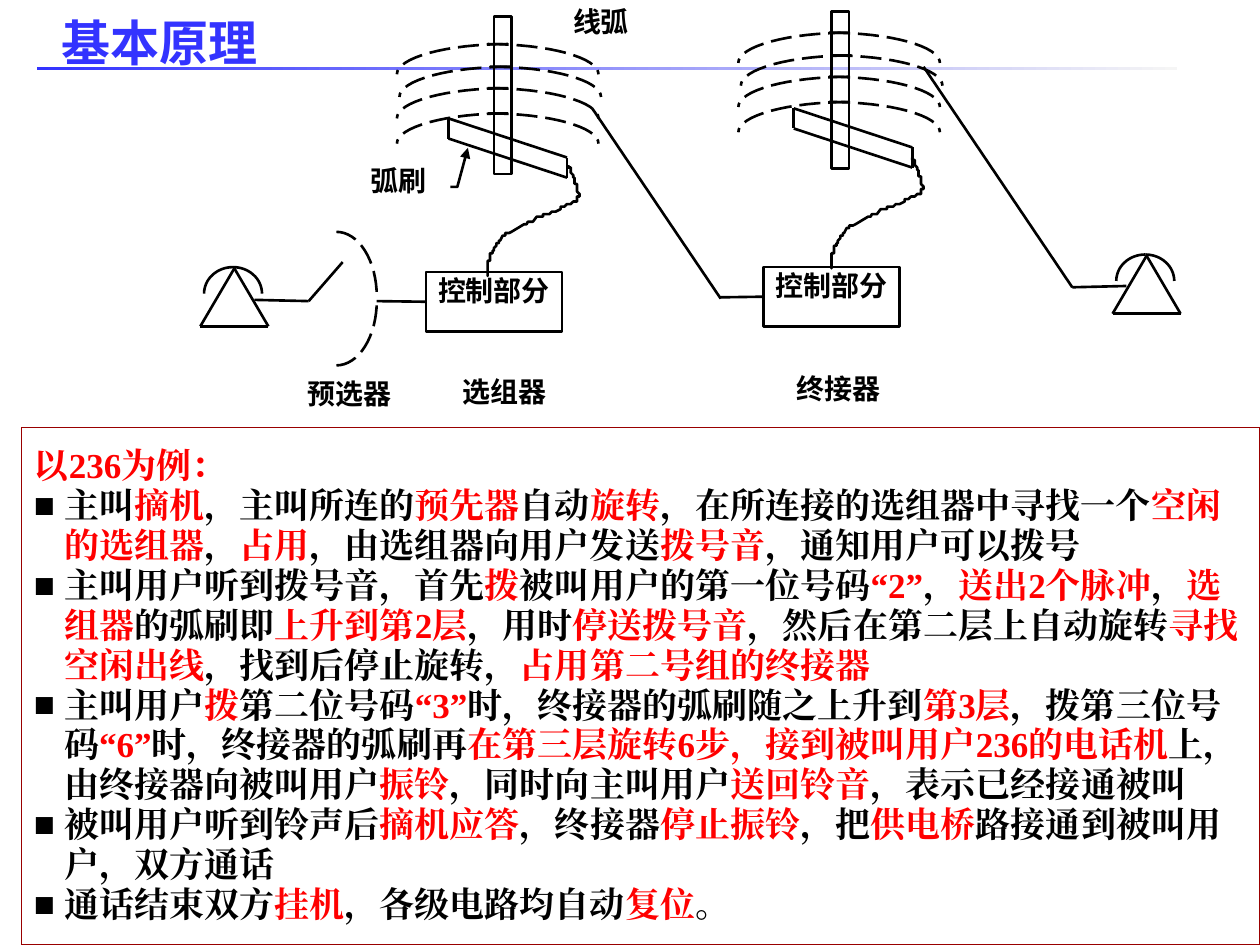
from math import cos, pi, sin
from pptx import Presentation
from pptx import util as u
from pptx.dml import color
from pptx.enum import dml, shapes, text
from pptx.oxml import ns, xmlchemy

INK, RED, BLUE = "000000", "FF0000", "3333FF"
SANS, SERIF = "Noto Sans CJK SC", "Times New Roman"
STEPS = [
    "主叫|摘机|，主叫所连的|预先器|自动|旋转|，在所连接的选组器中寻找一个|空闲的选组器|，|占用|"
    "，由选组器向用户发送|拨号音|，通知用户可以拨号",
    "主叫用户听到拨号音，首先|拨|被叫用户的第一位号码|“2”|，|送出2个脉冲|，|选组器|的弧刷即|"
    "上升到第2层|，用时|停送拨号音|，然后在第二层上自动旋转|寻找空闲出线|，找到后停止旋转，|"
    "占用第二号组的终接器",
    "主叫用户|拨|第二位号码|“3”|时，终接器的弧刷随之上升到|第3层|，拨第三位号码|“6”|"
    "时，终接器的弧刷再|在第三层旋转6步，接到被叫用户236的电话机|上，由终接器向被叫用户|振铃|"
    "，同时向主叫用户|送回铃音|，表示已经接通被叫",
    "被叫用户听到铃声后|摘机应答|，终接器|停止振铃|，把|供电桥|路接通到被叫用户，双方通话",
    "通话结束双方|挂机|，各级电路均自动|复位|。",
]
CORD = [
    (64, 0), (64, 2), (66, 2), (66, 6), (68, 8), (68, 10), (69, 10), (69, 15), (71, 15),
    (71, 21), (73, 23), (73, 25), (71, 25), (71, 29), (68, 29), (66, 31), (63, 31), (61, 33),
    (58, 33), (58, 35), (54, 37), (51, 37), (49, 39), (44, 39), (44, 41), (39, 41), (36, 45),
    (32, 45), (31, 47), (29, 47), (19, 53), (17, 54), (14, 54), (14, 56), (12, 56), (10, 60),
    (9, 60), (9, 62), (7, 62), (7, 64), (5, 66), (5, 68), (4, 68), (4, 70), (2, 70), (2, 76),
    (0, 76), (0, 88), (0, 84),
]


def rgb(code):
    """Turn a hex string into a colour."""
    return color.RGBColor.from_string(code)


def apply(item, **vals):
    """Set each named value on an item."""
    for key, val in vals.items():
        setattr(item, key, val)


def add(node, tag, **vals):
    """Append a drawing element to an XML node."""
    kid = xmlchemy.OxmlElement(tag)
    for key, val in vals.items():
        kid.set(key, val)
    node.append(kid)
    return kid


def style(run, size, face, tint, east=SANS):
    """Format a run of bold text."""
    apply(run.font, size=u.Pt(size), name=face, bold=True)
    run.font.color.rgb = rgb(tint)
    props = run._r.get_or_add_rPr()
    props.set("lang", "zh-CN")
    add(props, "a:ea", typeface=east)


def outline(shape, tint=INK, width=1.5):
    """Give a shape a plain outline and no fill."""
    shape.shadow.inherit = False
    shape.fill.background()
    shape.line.color.rgb = rgb(tint)
    shape.line.width = u.Pt(width)
    return shape


def block(page, box, kind=shapes.MSO_SHAPE.RECTANGLE):
    """Add an outlined preset shape."""
    return outline(page.shapes.add_shape(kind, *map(u.Inches, box)))


def line(page, *ends):
    """Add a straight line between two points."""
    link = page.shapes.add_connector(shapes.MSO_CONNECTOR.STRAIGHT, *map(u.Inches, ends))
    link.line.color.rgb = rgb(INK)
    link.line.width = u.Pt(1.5)
    add(link._element.spPr, "a:effectLst")
    return link


def trace(page, pts):
    """Add an open outline through points."""
    pts = [(u.Inches(x), u.Inches(y)) for x, y in pts]
    pen = page.shapes.build_freeform(*pts[0])
    pen.add_line_segments(pts[1:], close=False)
    return outline(pen.convert_to_shape())


def arc(page, x, y, wide, high, dash=True):
    """Add a quarter ellipse about a centre; signed radii pick the quarter."""
    turns = [pi / 2 * i / 16 for i in range(17)]
    curve = trace(page, [(x + wide * sin(t), y - high * cos(t)) for t in turns])
    if dash:
        curve.line.dash_style = dml.MSO_LINE.LONG_DASH


def write(shape, words):
    """Put a centred caption in a shape."""
    frame = shape.text_frame
    edge = u.Inches(0.01)
    apply(frame, word_wrap=True, vertical_anchor=text.MSO_ANCHOR.TOP, margin_left=edge,
          margin_right=edge, margin_top=edge, margin_bottom=edge)
    para = frame.paragraphs[0]
    para.alignment = text.PP_ALIGN.CENTER
    run = para.add_run()
    run.text = words
    style(run, 16, SANS, INK)


def phone(page, x, y):
    """Draw a telephone with its apex at a point."""
    left, right, base = x - 0.27, x + 0.27, y + 0.46
    for ends in ((x, y, left, base), (x, y, right, base), (left, base, right, base)):
        line(page, *ends)
    for wide in (-0.23, 0.23):
        arc(page, x - 0.01, y + 0.2, wide, 0.21, False)


def switch(page, rod, brush, cord, bank, desk):
    """Draw a selector from the corners of its parts; return its control box."""
    block(page, (*rod, 0.14, 1.25))
    x, y = brush
    for drop in (0, 0.16):
        line(page, x, y + drop, x + 0.94, y + drop + 0.31)
    for step, fall in ((0, 0), (0.94, 0.31)):
        line(page, x + step, y + fall, x + step, y + fall + 0.16)
    trace(page, [(cord[0] + a / 100, cord[1] + b / 100) for a, b in CORD])
    for shift, drop in ((0, 0), (0.02, 0.18), (0, 0.35), (0, 0.55)):
        x, y = bank[0] + shift, bank[1] + drop + 0.24
        arc(page, x + 0.88, y, -0.88, 0.24)
        arc(page, x + 0.72, y, 0.88, 0.24)
    box = block(page, (*desk, 1.08, 0.47))
    write(box, "控制部分")
    return box


def scheme(page):
    """Draw the whole switching path."""
    group = switch(page, (3.92, 0.13), (3.56, 0.94), (3.87, 1.31), (3.15, 0.35), (3.38, 2.16))
    final = switch(page, (6.6, 0.09), (6.3, 0.86), (6.6, 1.25), (5.86, 0.26), (6.06, 2.12))
    phone(page, 1.86, 2.13)
    phone(page, 9.1, 2.03)
    for ends in ((2.02, 2.38, 2.45, 2.39), (2.45, 2.39, 2.72, 2.08), (5.72, 2.37, 4.7, 0.86),
                 (8.94, 2.27, 8.51, 2.28), (8.51, 2.28, 7.33, 0.53)):
        line(page, *ends)
    line(page, 2.99, 2.39, 3.38, 2.39).end_connect(group, 1)
    line(page, 5.71, 2.36, 6.06, 2.36).end_connect(final, 1)
    arc(page, 2.67, 2.35, 0.32, 0.51)
    arc(page, 2.67, 2.39, 0.32, -0.51)
    for words, *box in (("线弧", 4.49, 0.03, 0.56, 0.32), ("预选器", 2.37, 2.98, 0.81, 0.45),
                        ("选组器", 3.6, 2.96, 0.81, 0.45), ("终接器", 6.25, 2.94, 0.81, 0.45)):
        write(page.shapes.add_textbox(*map(u.Inches, box)), words)
    note = block(page, (2.88, 1.29, 0.56, 0.45), shapes.MSO_SHAPE.LINE_CALLOUT_2_NO_BORDER)
    for i, val in enumerate((0.43, 1.24, 0.43, 1.34, -0.26, 1.49)):
        note.adjustments[i] = val
    add(note.line._get_or_add_ln(), "a:tailEnd", type="triangle")
    write(note, "弧刷")


def story(page, box):
    """Write the worked example in a framed box."""
    panel = block(page, box)
    outline(panel, "990000", 0.75)
    panel.fill.solid()
    panel.fill.fore_color.rgb = rgb("FFFFFF")
    frame = panel.text_frame
    apply(frame, word_wrap=True, vertical_anchor=text.MSO_ANCHOR.MIDDLE)
    for i, words in enumerate(["|以236为例："] + STEPS):
        para = frame.add_paragraph() if i else frame.paragraphs[0]
        apply(para, alignment=text.PP_ALIGN.LEFT, line_spacing=0.95)
        if i:
            props = para._p.get_or_add_pPr()
            apply_in = {"marL": u.Inches(0.24), "indent": u.Inches(-0.24)}
            for key, val in apply_in.items():
                props.set(key, str(int(val)))
            add(add(props, "a:buClr"), "a:srgbClr", val=INK)
            add(props, "a:buFont", typeface=SERIF)
            add(props, "a:buChar", char="■")
        for j, part in enumerate(words.split("|")):
            if part:
                run = para.add_run()
                run.text = part
                style(run, 20, SERIF, RED if j % 2 else INK, SERIF)


def heading(page, box):
    """Place the title and the fading rule under it."""
    title = page.shapes.title
    for key, val in zip(("left", "top", "width", "height"), box):
        setattr(title, key, u.Inches(val))
    title.text_frame.vertical_anchor = text.MSO_ANCHOR.MIDDLE
    para = title.text_frame.paragraphs[0]
    para.alignment = text.PP_ALIGN.LEFT
    run = para.add_run()
    run.text = "基本原理"
    style(run, 28, "Roboto", BLUE)
    rule = block(page, (box[0] - 0.1, box[1] + 0.6, 9.05, 0.03))
    rule.line.fill.background()
    rule.fill.gradient()
    rule.fill.gradient_angle = 0
    for stop, spot, tint in zip(rule.fill.gradient_stops, (0, 1), (BLUE, "F5F5F5")):
        stop.position = spot
        stop.color.rgb = rgb(tint)


def main():
    """Build the deck."""
    deck = Presentation()
    apply(deck, slide_width=u.Inches(10), slide_height=u.Inches(7.5))
    page = deck.slides.add_slide(deck.slide_layouts[5])
    heading(page, (0.39, -0.07, 8.94, 0.81))
    story(page, (0.17, 3.39, 9.83, 4.11))
    scheme(page)
    deck.save("out.pptx")


if __name__ == "__main__":
    main()
